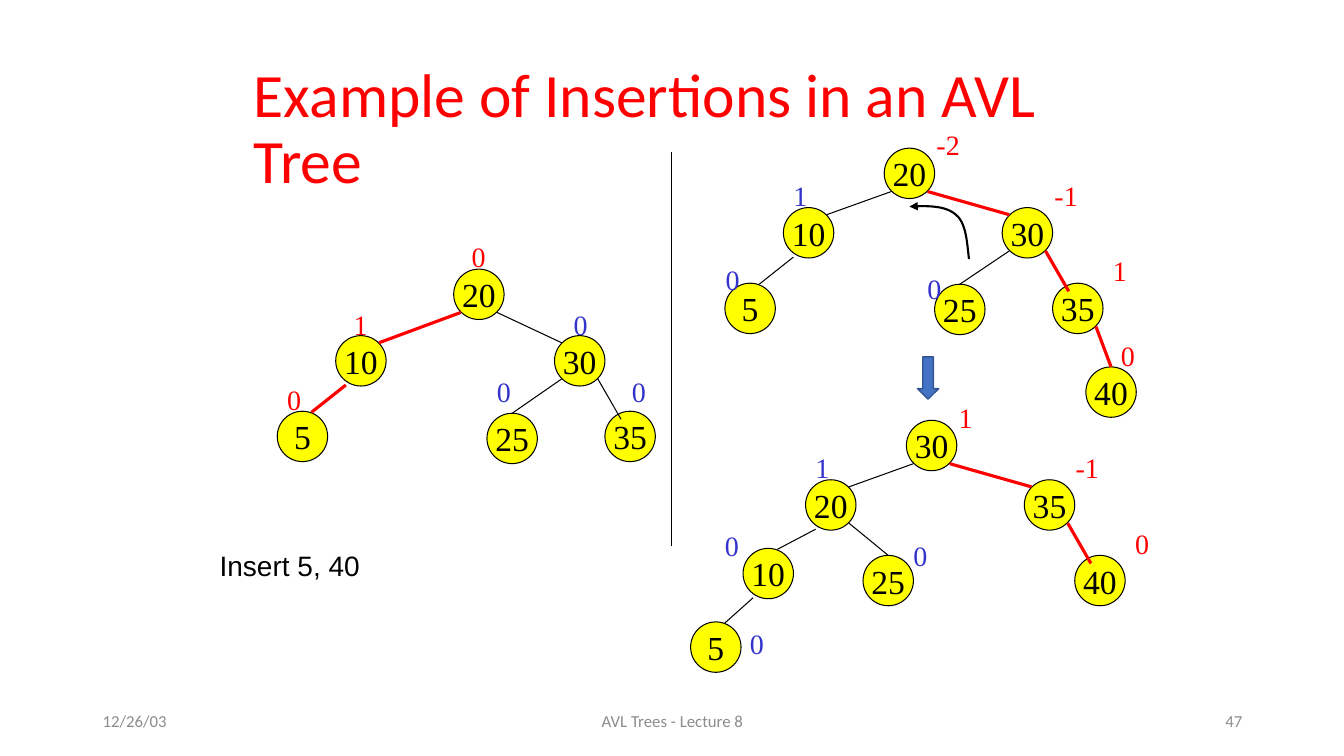
from lxml import etree
from pptx import Presentation
from pptx.dml.color import RGBColor
from pptx.enum.shapes import MSO_CONNECTOR, MSO_SHAPE
from pptx.enum.text import MSO_ANCHOR, PP_ALIGN
from pptx.oxml.ns import qn
from pptx.util import Inches, Pt

STRAIGHT = MSO_CONNECTOR.STRAIGHT
OVAL, DOWN_ARROW = MSO_SHAPE.OVAL, MSO_SHAPE.DOWN_ARROW
TOP, MIDDLE = MSO_ANCHOR.TOP, MSO_ANCHOR.MIDDLE
LEFT, CENTER, RIGHT = PP_ALIGN.LEFT, PP_ALIGN.CENTER, PP_ALIGN.RIGHT

COLORS = {
    "black": "000000", "red": "FF0000", "blue": "3333CC", "yellow": "FFFF00",
    "grey": "8C8C8C", "arrow": "4472C4", "arrow edge": "325491",
}
NODE = 0.5  # node diameter

# Where an edge may touch a node, measured from the node's top left corner
TOUCH = {
    "top": (0.25, 0), "upper left": (0.07, 0.07), "upper right": (0.43, 0.07),
    "lower left": (0.07, 0.43), "lower right": (0.43, 0.43),
    "bottom": (0.1, 0.49), "inner left": (0.16, 0.08), "crown": (0.34, 0.01),
}

# Nodes: key -> left, top.  Edges: parent, touch, child, touch, colour.
# Balances: text, left, top, colour.
BEFORE = {
    "nodes": {20: (4.5, 2.67), 10: (3.33, 3.33), 30: (5.5, 3.33),
              5: (2.75, 4.08), 25: (4.83, 4.1), 35: (6, 4.08)},
    "edges": [
        (20, "lower left", 10, "upper right", "red"),
        (20, "lower right", 30, "upper left", "black"),
        (30, "lower left", 25, "top", "black"),
        (30, "lower right", 35, "inner left", "black"),
        (10, "bottom", 5, "crown", "red"),
    ],
    "balances": [
        ("0", 4.58, 2.33, "red"), ("1", 3.41, 3, "red"), ("0", 5.59, 3, "blue"),
        ("0", 2.75, 3.75, "red"), ("0", 4.83, 3.67, "blue"), ("0", 6.17, 3.67, "blue"),
    ],
}
UNBALANCED = {
    "nodes": {20: (8.77, 1.47), 10: (7.77, 2.06), 30: (9.94, 2.06), 5: (7.19, 2.81),
              25: (9.27, 2.82), 35: (10.44, 2.81), 40: (10.77, 3.64)},
    "edges": [
        (20, "lower left", 10, "upper right", "black"),
        (20, "lower right", 30, "upper left", "red"),
        (30, "lower left", 25, "top", "black"),
        (30, "lower right", 35, "inner left", "red"),
        (10, "bottom", 5, "crown", "black"),
        (35, "lower right", 40, "top", "red"),
    ],
    "balances": [
        ("-2", 9.19, 1.22, "red"), ("1", 7.77, 1.72, "blue"), ("-1", 10.36, 1.72, "red"),
        ("0", 7.1, 2.56, "blue"), ("0", 9.1, 2.64, "blue"), ("1", 10.94, 2.47, "red"),
        ("0", 11.02, 3.31, "red"),
    ],
}
ROTATED = {
    "nodes": {30: (8.99, 4.17), 20: (7.99, 4.76), 35: (10.16, 4.76), 10: (7.37, 5.44),
              25: (8.56, 5.51), 40: (10.66, 5.51), 5: (6.85, 6.17)},
    "edges": [
        (30, "lower left", 20, "upper right", "black"),
        (30, "lower right", 35, "upper left", "red"),
        (20, "lower right", 25, "top", "black"),
        (35, "lower right", 40, "inner left", "red"),
        (20, "bottom", 10, "crown", "black"),
        (10, "bottom", 5, "crown", "black"),
    ],
    "balances": [
        ("1", 9.41, 3.92, "red"), ("1", 7.99, 4.42, "blue"), ("-1", 10.57, 4.42, "red"),
        ("0", 7.09, 5.19, "blue"), ("0", 8.96, 5.29, "blue"), ("0", 11.16, 5.17, "red"),
        ("0", 7.34, 6.17, "blue"),
    ],
}

# Rotation arrow: two Bezier pieces, four points each
ROTATION = [
    [(9.61, 2.57), (9.59, 2.39), (9.58, 2.21), (9.48, 2.13)],
    [(9.48, 2.13), (9.38, 2.04), (9.2, 2.04), (9.02, 2.05)],
]


def rgb(name):
    return RGBColor.from_string(COLORS[name])


def write(shape, text, size, font, color, align=LEFT, anchor=TOP, wrap=True, **spacing):
    frame = shape.text_frame
    paragraph = frame.paragraphs[0]
    run = paragraph.add_run()
    run.text = text
    run.font.color.rgb = rgb(color)
    formats = {
        frame: {"word_wrap": wrap, "vertical_anchor": anchor},
        paragraph: {"alignment": align, **spacing},
        run.font: {"size": Pt(size), "name": font},
    }
    for target, values in formats.items():
        for attribute, value in values.items():
            setattr(target, attribute, value)


def add_text(slide, box, *args, **options):
    write(slide.shapes.add_textbox(*map(Inches, box)), *args, **options)


def add_filled(slide, preset, box, fill, edge, width):
    shape = slide.shapes.add_shape(preset, *map(Inches, box))
    shape.shadow.inherit = False
    shape.fill.solid()
    shape.fill.fore_color.rgb = rgb(fill)
    shape.line.color.rgb = rgb(edge)
    shape.line.width = Pt(width)
    return shape


def add_line(slide, start, end, color="black"):
    line = slide.shapes.add_connector(STRAIGHT, *map(Inches, (*start, *end)))
    line.line.color.rgb = rgb(color)
    line.line.width = Pt(2.25 if color == "red" else 0.75)
    etree.SubElement(line._element.spPr, qn("a:effectLst"))
    return line


def add_tree(slide, tree):
    places, circles = tree["nodes"], {}
    for key, (left, top) in places.items():
        circles[key] = add_filled(slide, OVAL, (left, top, NODE, NODE), "yellow", "black", 0.75)
        write(circles[key], str(key), 24, "Times New Roman", "black", CENTER, MIDDLE, False)
    for parent, leave, child, arrive, color in tree["edges"]:
        start, end = [
            [place + shift for place, shift in zip(places[key], TOUCH[touch])]
            for key, touch in ((parent, leave), (child, arrive))
        ]
        edge = add_line(slide, start, end, color)
        if arrive == "top":
            edge.end_connect(circles[child], 0)
    for text, left, top, color in tree["balances"]:
        width = 0.34 if len(text) == 1 else 0.43
        add_text(slide, (left, top, width, 0.44), text, 20, "Times New Roman", color, wrap=False)


def bezier(points, t):
    weights = ((1 - t) ** 3, 3 * t * (1 - t) ** 2, 3 * t * t * (1 - t), t ** 3)
    return [Inches(sum(w * p[axis] for w, p in zip(weights, points))) for axis in (0, 1)]


def add_rotation_arrow(slide, steps=12):
    curve = [bezier(piece, i / steps) for piece in ROTATION for i in range(1, steps + 1)]
    builder = slide.shapes.build_freeform(*bezier(ROTATION[0], 0))
    builder.add_line_segments(curve, close=False)
    arrow = builder.convert_to_shape()
    arrow.shadow.inherit = False
    arrow.fill.background()
    arrow.line.color.rgb = rgb("black")
    arrow.line.width = Pt(1.5)
    etree.SubElement(arrow.line._get_or_add_ln(), qn("a:tailEnd"), type="triangle")


def main():
    deck = Presentation()
    deck.slide_width, deck.slide_height = Inches(13.33), Inches(7.5)
    slide = deck.slides.add_slide(deck.slide_layouts[6])

    # Title and footer
    add_text(slide, (2.42, 0.51, 8.5, 1.57), "Example of Insertions in an AVL Tree",
             44, "Calibri", "red", anchor=MIDDLE, line_spacing=0.9)
    for text, left, width, align in (("12/26/03", 0.92, 3, LEFT),
                                     ("AVL Trees - Lecture 8", 4.42, 4.5, CENTER),
                                     ("47", 9.42, 3, RIGHT)):
        add_text(slide, (left, 6.95, width, 0.4), text, 12, "Calibri", "grey", align, MIDDLE)

    # Trees before, during and after the rotation
    for tree in (BEFORE, UNBALANCED, ROTATED):
        add_tree(slide, tree)

    # Divider, arrows and caption
    add_line(slide, (6.66, 1.51), (6.66, 5.42))
    add_rotation_arrow(slide)
    add_filled(slide, DOWN_ARROW, (9.1, 3.54, 0.21, 0.42), "arrow", "arrow edge", 1)
    add_text(slide, (2.08, 5.39, 2.33, 0.44), "Insert 5, 40", 20, "Arial", "black",
             space_before=Pt(12.5))

    deck.save("out.pptx")


if __name__ == "__main__":
    main()
